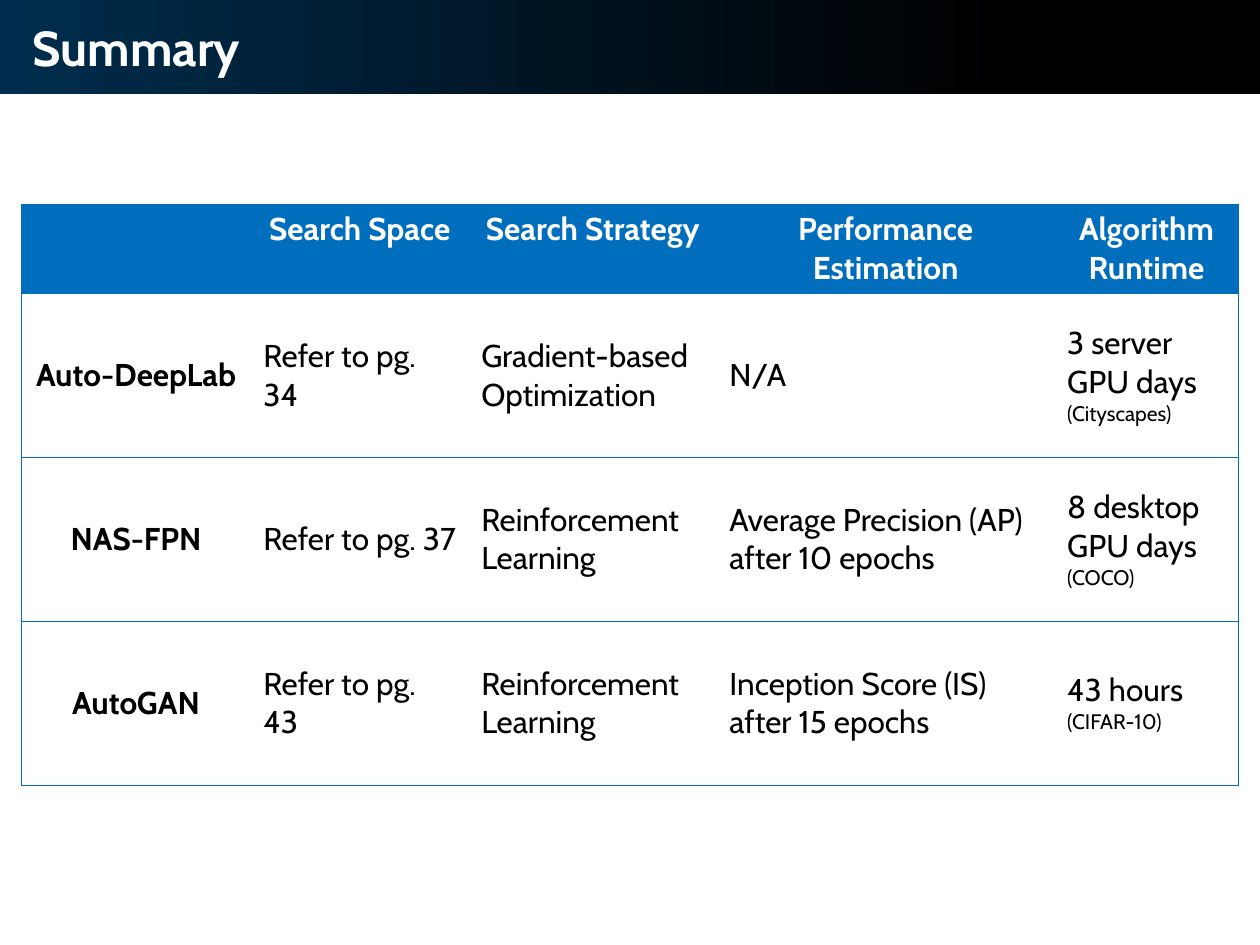
from lxml import etree
from pptx import Presentation
from pptx.dml.color import RGBColor
from pptx.enum.shapes import MSO_SHAPE as Shape
from pptx.enum.text import MSO_ANCHOR as Anchor, PP_ALIGN as Align
from pptx.oxml.ns import qn
from pptx.util import Inches, Pt

BLUE, NAVY, BLACK, WHITE = "006EBC", "002D4D", "000000", "FFFFFF"
FONT = "Cabin"
COLUMN_WIDTHS = [1.82, 1.73, 1.97, 2.68, 1.46]
ROW_HEIGHTS = [0.67, 1.3, 1.3, 1.3]
HEADINGS = ["", "Search Space", "Search Strategy", "Performance Estimation",
            "Algorithm Runtime"]
METHODS = [
    ["Auto-DeepLab", "Refer to pg. 34", "Gradient-based Optimization", "N/A",
     "3 server GPU days\n(Cityscapes)"],
    ["NAS-FPN", "Refer to pg. 37", "Reinforcement Learning",
     "Average Precision (AP) after 10 epochs", "8 desktop GPU days\n(COCO)"],
    ["AutoGAN", "Refer to pg. 43", "Reinforcement Learning",
     "Inception Score (IS) after 15 epochs", "43 hours\n(CIFAR-10)"],
]


def colour(value):
    return RGBColor.from_string(value)


def set_font(font, value, **formats):
    for name, setting in {"name": FONT, **formats}.items():
        setattr(font, name, setting)
    font.color.rgb = colour(value)


def set_borders(cell, sides):
    """Draw a blue line on the given sides and none on the others."""
    properties = cell._tc.get_or_add_tcPr()
    for side in "LRTB":
        line = etree.SubElement(properties, qn(f"a:ln{side}"), w=str(Pt(0.75)))
        if side in sides:
            fill = etree.SubElement(line, qn("a:solidFill"))
            etree.SubElement(fill, qn("a:srgbClr"), val=BLUE)
        else:
            etree.SubElement(line, qn("a:noFill"))


def add_title_bar(page, text, left, top, width, height):
    # Gradient band, placed behind the title
    band = page.shapes.add_shape(Shape.RECTANGLE, left, top, width, height)
    band.shadow.inherit = False
    band.line.fill.background()
    band.fill.gradient()
    band.fill.gradient_angle = 0
    for stop, (position, value) in zip(band.fill.gradient_stops,
                                       [(0, NAVY), (0.8, BLACK)]):
        stop.position = position
        stop.color.rgb = colour(value)
    page.shapes._spTree.insert(2, band._element)

    # Title
    title = page.shapes.title
    title.left, title.top = left + Inches(0.16), top
    title.width, title.height = width - Inches(0.31), height
    frame = title.text_frame
    frame.text = text
    frame.vertical_anchor = Anchor.MIDDLE
    para = frame.paragraphs[0]
    para.alignment = Align.LEFT
    set_font(para.runs[0].font, WHITE, size=Pt(28), bold=True)


def fill_cell(cell, text, is_header, is_name):
    cell.fill.solid()
    cell.fill.fore_color.rgb = colour(BLUE if is_header else WHITE)
    cell.vertical_anchor = Anchor.TOP if is_header else Anchor.MIDDLE
    cell.text = text
    for index, para in enumerate(cell.text_frame.paragraphs):
        para.alignment = Align.CENTER if is_header or is_name else Align.LEFT
        set_font(para.font, WHITE if is_header else BLACK,
                 size=Pt(12 if index else 18), bold=is_header or is_name)
        for span in para.runs:
            set_font(span.font, WHITE if is_header else BLACK,
                     size=Pt(12 if index else 18), bold=is_header or is_name)


def add_summary_table(page, left, top, width, height):
    rows = [HEADINGS] + METHODS
    table = page.shapes.add_table(len(rows), len(HEADINGS),
                                  left, top, width, height).table
    for column, size in zip(table.columns, COLUMN_WIDTHS):
        column.width = Inches(size)
    for row, size in zip(table.rows, ROW_HEIGHTS):
        row.height = Inches(size)
    last = len(HEADINGS) - 1
    for row_index, texts in enumerate(rows):
        for column_index, text in enumerate(texts):
            cell = table.cell(row_index, column_index)
            edges = {0: "L", last: "R"}.get(column_index, "")
            set_borders(cell, "TB" + edges)
            fill_cell(cell, text, row_index == 0, column_index == 0)


def main():
    deck = Presentation()
    deck.slide_width, deck.slide_height = Inches(10), Inches(7.5)
    page = deck.slides.add_slide(deck.slide_layouts[5])
    add_title_bar(page, "Summary", 0, 0, deck.slide_width, Inches(0.75))
    add_summary_table(page, Inches(0.17), Inches(1.62),
                      Inches(sum(COLUMN_WIDTHS)), Inches(sum(ROW_HEIGHTS)))
    deck.save("out.pptx")


if __name__ == "__main__":
    main()
